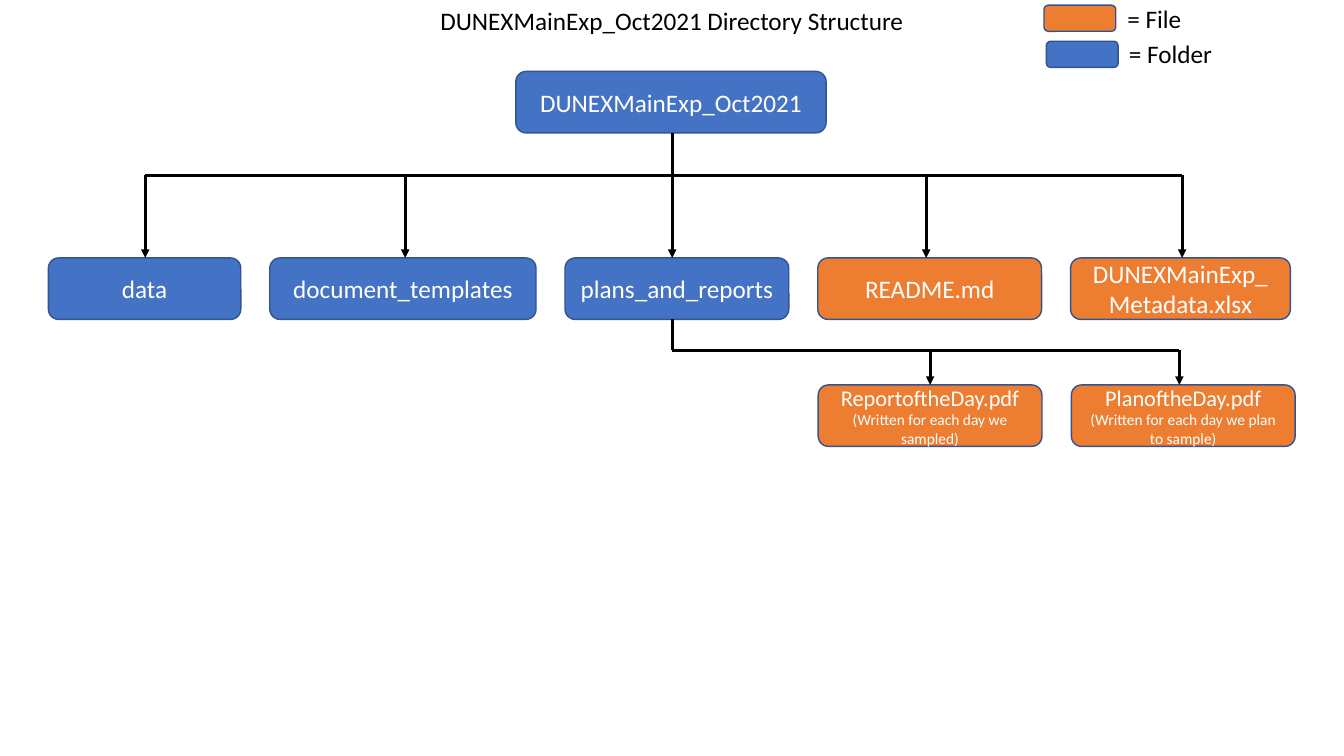
from lxml.etree import SubElement
from pptx import Presentation
from pptx.dml.color import RGBColor
from pptx.enum.shapes import MSO_CONNECTOR, MSO_SHAPE
from pptx.enum.text import MSO_ANCHOR, PP_ALIGN
from pptx.oxml.ns import qn
from pptx.util import Cm, Pt

FOLDER = RGBColor(0x44, 0x72, 0xC4)
FILE = RGBColor(0xED, 0x7D, 0x31)
OUTLINE = RGBColor(0x32, 0x54, 0x91)
BLACK = RGBColor(0, 0, 0)
WHITE = RGBColor(255, 255, 255)

PAGE_WIDTH, PAGE_HEIGHT = 33.87, 19.05
CENTRE = 16.94
BOX_HEIGHT = 1.55
FILE_WIDTH = 5.64
GAP = 0.73
ROOT_TOP, TOP_RAIL, ROW_TOP = 1.8, 4.42, 6.5
REPORT_RAIL, REPORT_TOP = 8.83, 9.7


class DirectoryChart:
    """Draw directory boxes, labels and connecting lines on one slide."""

    def __init__(self, page, font="Calibri"):
        self.page = page
        self.font = font

    def add_lines(self, frame, lines, color, align):
        for index, (text, size) in enumerate(lines):
            para = frame.paragraphs[0] if index == 0 else frame.add_paragraph()
            para.alignment = align
            span = para.add_run()
            span.text = text
            span.font.name = self.font
            span.font.size = Pt(size)
            span.font.color.rgb = color

    def box(self, left, top, width, height, fill, lines=()):
        box = self.page.shapes.add_shape(
            MSO_SHAPE.ROUNDED_RECTANGLE, Cm(left), Cm(top), Cm(width), Cm(height))
        box.shadow.inherit = False
        box.fill.solid()
        box.fill.fore_color.rgb = fill
        box.line.color.rgb = OUTLINE
        box.line.width = Pt(1)
        box.text_frame.word_wrap = True
        box.text_frame.vertical_anchor = MSO_ANCHOR.MIDDLE
        self.add_lines(box.text_frame, lines, WHITE, PP_ALIGN.CENTER)

    def label(self, left, top, width, height, text, align=PP_ALIGN.LEFT, wrap=False):
        box = self.page.shapes.add_textbox(Cm(left), Cm(top), Cm(width), Cm(height))
        box.text_frame.word_wrap = wrap
        self.add_lines(box.text_frame, [(text, 18)], BLACK, align)

    def line(self, x1, y1, x2, y2, arrow=False):
        line = self.page.shapes.add_connector(
            MSO_CONNECTOR.STRAIGHT, Cm(x1), Cm(y1), Cm(x2), Cm(y2))
        line.line.color.rgb = BLACK
        line.line.width = Pt(2)
        properties = line._element.spPr
        if arrow:
            SubElement(properties.find(qn("a:ln")), qn("a:tailEnd"), type="triangle")
        SubElement(properties, qn("a:effectLst"))


deck = Presentation()
deck.slide_width, deck.slide_height = Cm(PAGE_WIDTH), Cm(PAGE_HEIGHT)
page = deck.slides.add_slide(deck.slide_layouts[6])
chart = DirectoryChart(page)

chart.label(0, 0, PAGE_WIDTH, 1.8, "DUNEXMainExp_Oct2021 Directory Structure",
            PP_ALIGN.CENTER, True)
chart.box(13, ROOT_TOP, 7.82, BOX_HEIGHT, FOLDER, [("DUNEXMainExp_Oct2021", 18)])

legend = [
    (26.31, 0.13, 28.16, -0.05, 1.88, "= File", FILE),
    (26.37, 1.04, 28.2, 0.84, 2.64, "= Folder", FOLDER),
]
for left, top, text_left, text_top, text_width, text, fill in legend:
    chart.box(left, top, 1.81, 0.66, fill)
    chart.label(text_left, text_top, text_width, 1.02, text)

contents = [
    ("data", 4.85, 3.66, FOLDER),
    ("document_templates", 6.71, 10.21, FOLDER),
    ("plans_and_reports", FILE_WIDTH, CENTRE, FOLDER),
    ("README.md", FILE_WIDTH, 23.34, FILE),
    ("DUNEXMainExp_Metadata.xlsx", 5.54, 29.79, FILE),
]
chart.line(CENTRE, ROOT_TOP + BOX_HEIGHT, CENTRE, TOP_RAIL)
chart.line(contents[0][2], TOP_RAIL, contents[-1][2], TOP_RAIL)
left = 1.22
for name, width, stem, fill in contents:
    chart.box(left, ROW_TOP, width, BOX_HEIGHT, fill, [(name, 18)])
    chart.line(stem, TOP_RAIL, stem, ROW_TOP, arrow=True)
    left += width + GAP

reports = [
    ("ReportoftheDay.pdf", "(Written for each day we sampled)", 20.62, 23.44),
    ("PlanoftheDay.pdf", "(Written for each day we plan to sample)", 27, 29.72),
]
chart.line(CENTRE, ROW_TOP + BOX_HEIGHT, CENTRE, REPORT_RAIL)
chart.line(CENTRE, REPORT_RAIL, reports[-1][3], REPORT_RAIL)
for name, note, left, stem in reports:
    chart.box(left, REPORT_TOP, FILE_WIDTH, BOX_HEIGHT, FILE, [(name, 16), (note, 11)])
    chart.line(stem, REPORT_RAIL, stem, REPORT_TOP, arrow=True)

deck.save("out.pptx")
